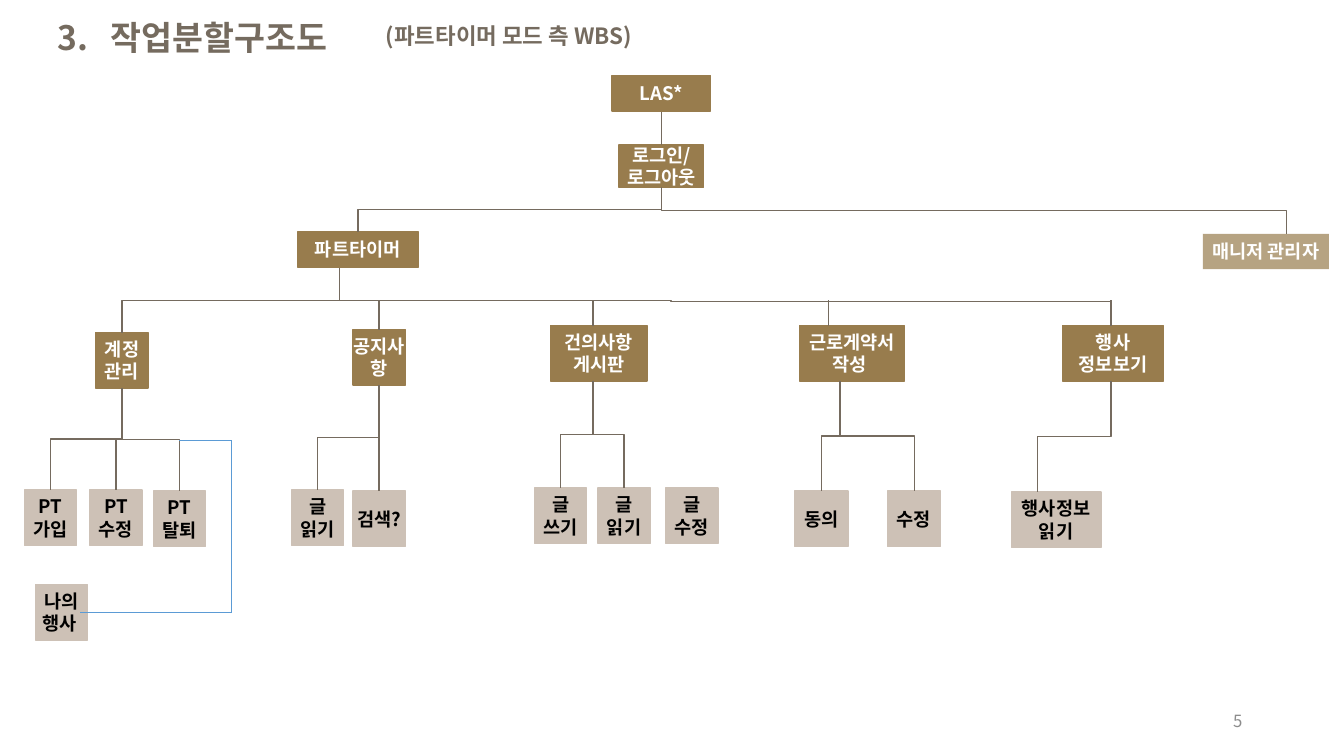
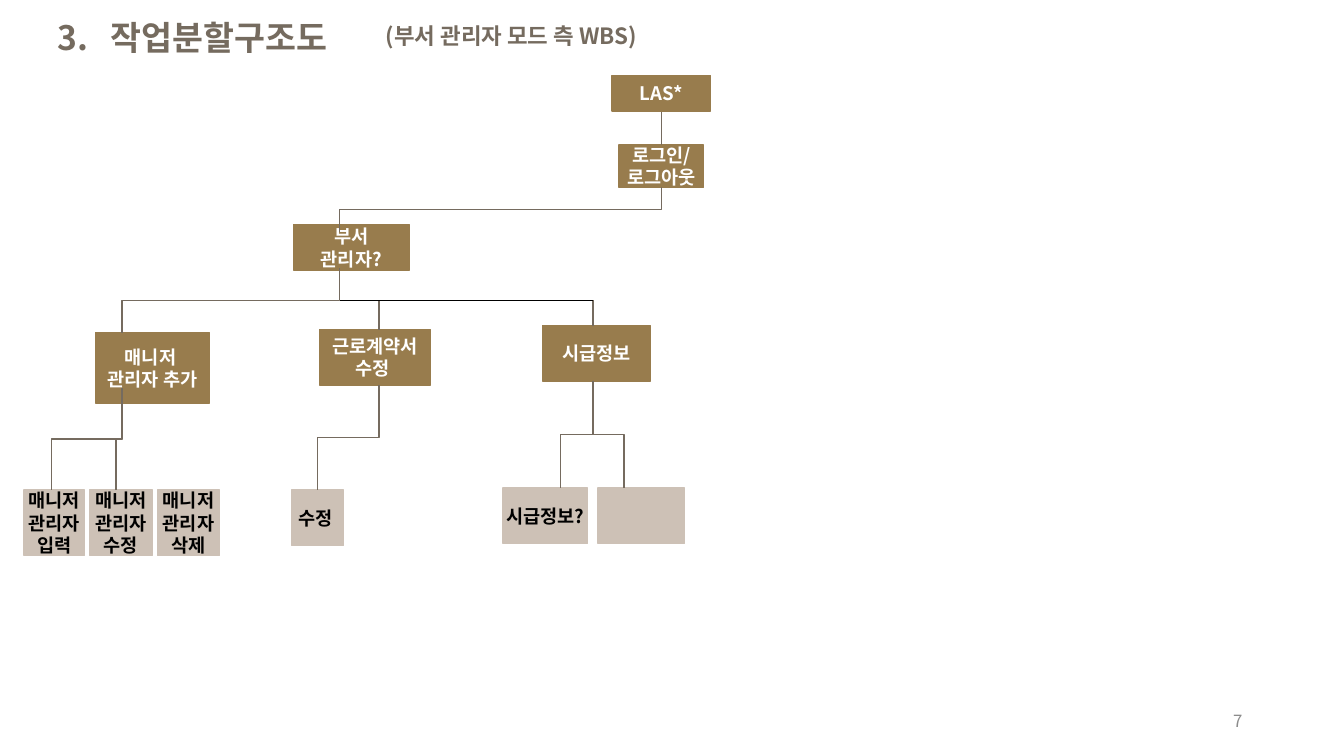
from lxml import etree
from pptx import Presentation
from pptx.dml.color import RGBColor
from pptx.enum import shapes, text
from pptx.oxml import ns
from pptx.util import Inches, Pt

COLORS = {"brown": "987C4D", "sand": "CDC1B6", "taupe": "756B5F", "blue": "5B9BD5",
          "black": "000000", "white": "FFFFFF", "gray": "8C8C8C"}
FONT = "Noto Sans CJK KR"
CELL = Inches(0.1)
COLUMNS, ROWS = 133.3, 75
ROW_HEIGHT = 5.5
BUS = 29.8
LANDING = 2.6
LEAF = 5.2
LEFT, CENTER, RIGHT = text.PP_ALIGN.LEFT, text.PP_ALIGN.CENTER, text.PP_ALIGN.RIGHT
TOP, MIDDLE = text.MSO_ANCHOR.TOP, text.MSO_ANCHOR.MIDDLE


def grid(*values):
    """Convert grid cells to slide lengths."""
    return [round(value * CELL) for value in values]


def add_child(parent, tag, **attributes):
    """Append a DrawingML element."""
    child = etree.SubElement(parent, ns.qn(tag))
    for name, value in attributes.items():
        child.set(name, str(value))
    return child


def write(shape, words, size, color, bold=True, align=CENTER, anchor=MIDDLE):
    """Write one paragraph per line of words."""
    frame = shape.text_frame
    frame.word_wrap = True
    frame.vertical_anchor = anchor
    for index, line in enumerate(words.split("\n")):
        paragraph = frame.add_paragraph() if index else frame.paragraphs[0]
        paragraph.alignment = align
        run = paragraph.add_run()
        run.text = line
        for name, value in {"name": FONT, "size": Pt(size), "bold": bold}.items():
            setattr(run.font, name, value)
        run.font.color.rgb = RGBColor.from_string(COLORS[color])
        add_child(run.font._element, "a:ea", typeface=FONT)


def label(slide, box, words, size, color, **style):
    """Add a text box."""
    shape = slide.shapes.add_textbox(*grid(*box))
    write(shape, words, size, color, **style)
    return shape


def node(slide, box, words, fill="brown", ink="white", opacity=None):
    """Add a filled box of the tree."""
    shape = slide.shapes.add_shape(shapes.MSO_SHAPE.RECTANGLE, *grid(*box))
    shape.shadow.inherit = False
    shape.fill.solid()
    shape.fill.fore_color.rgb = RGBColor.from_string(COLORS[fill])
    if opacity:
        color = shape._element.spPr.find(".//" + ns.qn("a:srgbClr"))
        add_child(color, "a:alpha", val=opacity * 1000)
        shape.line.fill.background()
    else:
        shape.line.color.rgb = RGBColor.from_string(COLORS[fill])
        shape.line.width = Pt(1)
    for side in ("left", "top", "right", "bottom"):
        setattr(shape.text_frame, "margin_" + side, 0)
    if words:
        write(shape, words, 13.3, ink)


def link(slide, start, end, color="taupe", width=1):
    """Join two points, falling first when both directions differ."""
    (x1, y1), (x2, y2) = start, end
    run, drop = x2 - x1, y2 - y1
    kind = shapes.MSO_CONNECTOR.ELBOW if run and drop else shapes.MSO_CONNECTOR.STRAIGHT
    turned = run and drop > 1
    if turned:
        middle_x, middle_y = (x1 + x2) / 2, (y1 + y2) / 2
        reach = drop / 2 if run < 0 else -drop / 2
        x1, x2 = middle_x - reach, middle_x + reach
        y1, y2 = middle_y - abs(run) / 2, middle_y + abs(run) / 2
    connector = slide.shapes.add_connector(kind, *grid(x1, y1, x2, y2))
    connector.line.color.rgb = RGBColor.from_string(COLORS[color])
    connector.line.width = Pt(width)
    properties = connector._element.spPr
    add_child(properties, "a:effectLst")
    if turned:
        angle = 90 if run < 0 else 270
        properties.find(ns.qn("a:xfrm")).set("rot", str(angle * 60000))


def branch(slide, box, words, axis, leaves, rise=None):
    """Add a node, its link up to the bus, and leaves offset from its corner."""
    left, top = box[:2]
    node(slide, box, words)
    for leaf_words, across, down, width, height, landing in leaves:
        leaf_left, leaf_top = left + across, top + down
        node(slide, (leaf_left, leaf_top, width, height), leaf_words, "sand", "black")
        if landing:
            link(slide, (left + axis, top + ROW_HEIGHT), (leaf_left + landing, leaf_top))
    if rise:
        link(slide, (left + rise, top), (left + rise, BUS))
    else:
        link(slide, (33.7, 26.6), (left + axis, top))


def leaf_row(down, *leaves, width=LEAF, height=ROW_HEIGHT):
    """List leaves of equal size as (words, offset, landing)."""
    return [(words, across, down, width, height, landing) for words, across, landing in leaves]


def header(slide, subtitle, subtitle_width, number):
    """Add the title, the subtitle and the page number."""
    title = label(slide, (4.7, 1.2, 42.8, 5), "3.\t작업분할구조도", 24, "taupe",
                  align=LEFT, anchor=TOP)
    tabs = add_child(title.text_frame.paragraphs[0]._p.get_or_add_pPr(), "a:tabLst")
    add_child(tabs, "a:tab", pos=Inches(0.53), algn="l")
    label(slide, (37.3, 1.7, subtitle_width, 3.7), subtitle, 16, "taupe",
          align=LEFT, anchor=TOP)
    label(slide, (94.2, 69.5, 30, 4), number, 12, "gray", bold=False, align=RIGHT)


def root(slide, role_box, role, landing):
    """Add the two top nodes and the role node below them."""
    node(slide, (60.7, 7.5, 9.8, 3.5), "LAS*")
    node(slide, (61.4, 14.4, 8.4, 4.2), "로그인/\n로그아웃")
    node(slide, role_box, role)
    link(slide, (65.6, 11.1), (65.6, 14.4))
    link(slide, (65.6, 18.6), (landing, 23))


def part_timer_slide(slide):
    """Build the part-timer tree."""
    header(slide, "(파트타이머 모드 측 WBS)", 28.4, "5")
    root(slide, (29.5, 23, 12, 3.5), "파트타이머", 35.5)
    node(slide, (119.3, 23.2, 12.5, 3.5), "매니저 관리자", opacity=70)
    link(slide, (65.6, 18.6), (127.6, 23.2))
    link(slide, (22.9, BUS), (110.2, BUS + 0.1))
    branch(slide, (9.5, 33, LEAF, ROW_HEIGHT), "계정 관리", 2.6,
           leaf_row(15.6, ("PT\n가입", -7.1, LANDING), ("PT\n수정", -0.6, LANDING))
           + leaf_row(15.7, ("PT\n탈퇴", 5.7, LANDING)))
    branch(slide, (35, 32.7, LEAF, ROW_HEIGHT), "공지사항", 2.6,
           leaf_row(15.9, ("글 읽기", -6.1, LANDING))
           + leaf_row(16, ("검색?", 0, LANDING)), rise=2.6)
    branch(slide, (54.6, 32.3, 9.6, ROW_HEIGHT), "건의사항 게시판", 4.2,
           leaf_row(16.1, ("글\n쓰기", -1.6, LANDING), ("글\n읽기", 4.7, LANDING),
                    ("글\n수정", 11.4, None)), rise=4.2)
    branch(slide, (79.3, 32.3, 10.4, ROW_HEIGHT), "근로게약서 작성 ", 4,
           leaf_row(16.4, ("동의", -0.5, 2.7), ("수정", 8.7, 2.7), width=5.3), rise=2.9)
    branch(slide, (105.4, 32.3, 10, ROW_HEIGHT), "행사\n정보보기", 4.8,
           leaf_row(16.5, ("행사정보 읽기", -5.1, LANDING), width=8.9), rise=4.8)
    node(slide, (3.5, 58, LEAF, ROW_HEIGHT), "나의 행사 ", "sand", "black")
    detour = [(17.8, 43.7), (22.9, 43.7), (22.9, 60.8), (7.9, 60.8)]
    for start, end in zip(detour, detour[1:]):
        link(slide, start, end, "blue", 0.5)


def manager_slide(slide):
    """Build the department manager tree."""
    header(slide, "(부서 관리자 모드 측 WBS)", 33.2, "7")
    root(slide, (29.1, 22.3, 11.5, 4.5), "부서\n관리자?", 33.7)
    branch(slide, (9.5, 33, 11.3, 7), "매니저 \n관리자 추가", 2.6,
           leaf_row(15.6, ("매니저 관리자 입력", -7.1, 2.7), width=6, height=6.5)
           + leaf_row(15.6, ("매니저 관리자 수정", -0.6, LANDING),
                      ("매니저 관리자 삭제", 6.1, None), width=6.2, height=6.5))
    branch(slide, (31.7, 32.7, 11, ROW_HEIGHT), "근로계약서 수정 ", 5.9,
           leaf_row(15.9, ("수정 ", -2.8, LANDING)), rise=5.9)
    branch(slide, (53.8, 32.3, 10.7, ROW_HEIGHT), "시급정보", 5,
           leaf_row(16.1, ("시급정보?", -3.9, 5.7), width=8.4)
           + leaf_row(16.1, ("", 5.5, LANDING), width=8.6), rise=5)
    link(slide, (33.7, BUS), (58.8, BUS), "black", 0.5)


presentation = Presentation()
presentation.slide_width, presentation.slide_height = grid(COLUMNS, ROWS)
for build in (part_timer_slide, manager_slide):
    build(presentation.slides.add_slide(presentation.slide_layouts[6]))
presentation.save("out.pptx")
